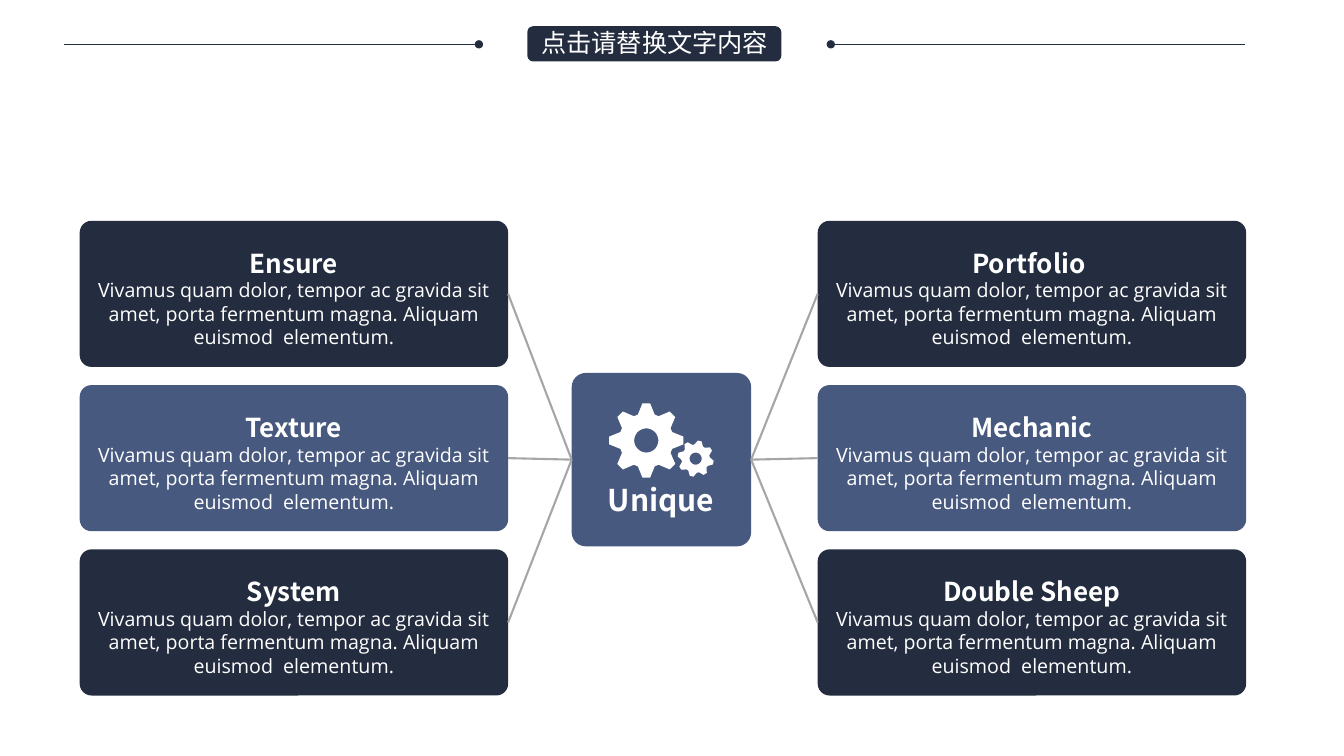
from math import cos, radians, sin

from lxml.etree import SubElement
from pptx import Presentation
from pptx.dml.color import RGBColor
from pptx.enum.shapes import MSO_CONNECTOR, MSO_SHAPE
from pptx.enum.text import MSO_ANCHOR, PP_ALIGN
from pptx.oxml.ns import qn
from pptx.util import Inches, Pt

NAVY, BLUE, GREY, WHITE = "242C3F", "48597F", "A6A6A6", "FFFFFF"
HEAD_FONT, BODY_FONT = "Noto Sans CJK SC", "Open Sans"
BODY = ("Vivamus quam dolor, tempor ac gravida sit amet, porta fermentum magna. "
        "Aliquam euismod  elementum.")


def rgb(value):
    return RGBColor.from_string(value)


def style(sp, fill):
    sp.shadow.inherit = False
    sp.fill.solid()
    sp.fill.fore_color.rgb = rgb(fill)
    sp.line.fill.background()


prs = Presentation()
prs.slide_width, prs.slide_height = Inches(13.33), Inches(7.5)
s = prs.slides.add_slide(prs.slide_layouts[6])

hub = s.shapes.add_shape(MSO_SHAPE.ROUNDED_RECTANGLE, Inches(5.67), Inches(3.7),
                         Inches(1.78), Inches(1.72))
hub.adjustments[0] = 0.081
style(hub, BLUE)

columns = [
    (0.79, 1, 3, ["Ensure", "Texture", "System"]),
    (8.11, 3, 1, ["Portfolio ", "Mechanic", "Double Sheep"]),
]
for left, hub_side, card_side, titles in columns:
    for row, title in enumerate(titles):
        card = s.shapes.add_shape(MSO_SHAPE.ROUNDED_RECTANGLE, Inches(left),
                                  Inches(2.19 + 1.63 * row), Inches(4.25), Inches(1.45))
        card.adjustments[0] = 0.081
        style(card, BLUE if row == 1 else NAVY)
        tf = card.text_frame
        tf.word_wrap = True
        tf.vertical_anchor = MSO_ANCHOR.MIDDLE
        tf.margin_top, tf.margin_bottom = Inches(0.13), Inches(0.05)
        lines = [
            (title, {"name": HEAD_FONT, "size": Pt(18.6), "bold": True}),
            (BODY, {"name": BODY_FONT, "size": Pt(14), "bold": False}),
        ]
        for i, (text, font) in enumerate(lines):
            p = tf.add_paragraph() if i else tf.paragraphs[0]
            p.alignment = PP_ALIGN.CENTER
            r = p.add_run()
            r.text = text
            r.font.color.rgb = rgb(WHITE)
            for key, value in font.items():
                setattr(r.font, key, value)

        link = s.shapes.add_connector(MSO_CONNECTOR.STRAIGHT, 0, 0, 0, 0)
        link.begin_connect(hub, hub_side)
        link.end_connect(card, card_side)
        link.line.color.rgb = rgb(GREY)
        link.line.width = Pt(1.5)
        SubElement(link._element.spPr, qn("a:effectLst"))

gears = [
    (6.41, 4.37, 0.37, 0.27, 0.12, 0),
    (6.9, 4.55, 0.18, 0.14, 0.06, 13),
]
for cx, cy, tip, root, hole, turn in gears:
    teeth = [(radius, turn + 45 * tooth + offset) for tooth in range(8)
             for radius, offset in [(root, -18), (tip, -6), (tip, 6), (root, 18)]]
    bore = [(hole, -10 * step) for step in range(36)]
    outline, circle = [
        [(Inches(cx + radius * sin(radians(a))), Inches(cy - radius * cos(radians(a))))
         for radius, a in ring] for ring in (teeth, bore)]
    builder = s.shapes.build_freeform(*outline[0])
    builder.add_line_segments(outline[1:], close=True)
    builder.move_to(*circle[0])
    builder.add_line_segments(circle[1:], close=True)
    style(builder.convert_to_shape(), WHITE)

for x1, x2, end in [(0.63, 4.75, "a:tailEnd"), (8.24, 12.35, "a:headEnd")]:
    rule = s.shapes.add_connector(MSO_CONNECTOR.STRAIGHT, Inches(x1), Inches(0.44),
                                  Inches(x2), Inches(0.44))
    rule.line.color.rgb = rgb(NAVY)
    rule.line.width = Pt(0.5)
    SubElement(rule.line._get_or_add_ln(), qn(end), type="oval")
    SubElement(rule._element.spPr, qn("a:effectLst"))

banner = s.shapes.add_shape(MSO_SHAPE.ROUNDED_RECTANGLE, Inches(5.23), Inches(0.26),
                            Inches(2.52), Inches(0.35))
style(banner, NAVY)

labels = [
    ("Unique", (5.72, 4.73, 1.67, 0.46), True, PP_ALIGN.CENTER,
     {"name": HEAD_FONT, "size": Pt(21.4), "bold": True}),
    ("点击请替换文字内容", (5.27, 0.22, 2.47, 0.4), False, PP_ALIGN.LEFT,
     {"name": "Arial", "size": Pt(18)}),
]
for text, box, wrap, align, font in labels:
    tf = s.shapes.add_textbox(*[Inches(v) for v in box]).text_frame
    tf.word_wrap = wrap
    p = tf.paragraphs[0]
    p.alignment = align
    r = p.add_run()
    r.text = text
    r.font.color.rgb = rgb(WHITE)
    for key, value in font.items():
        setattr(r.font, key, value)

prs.save("out.pptx")
